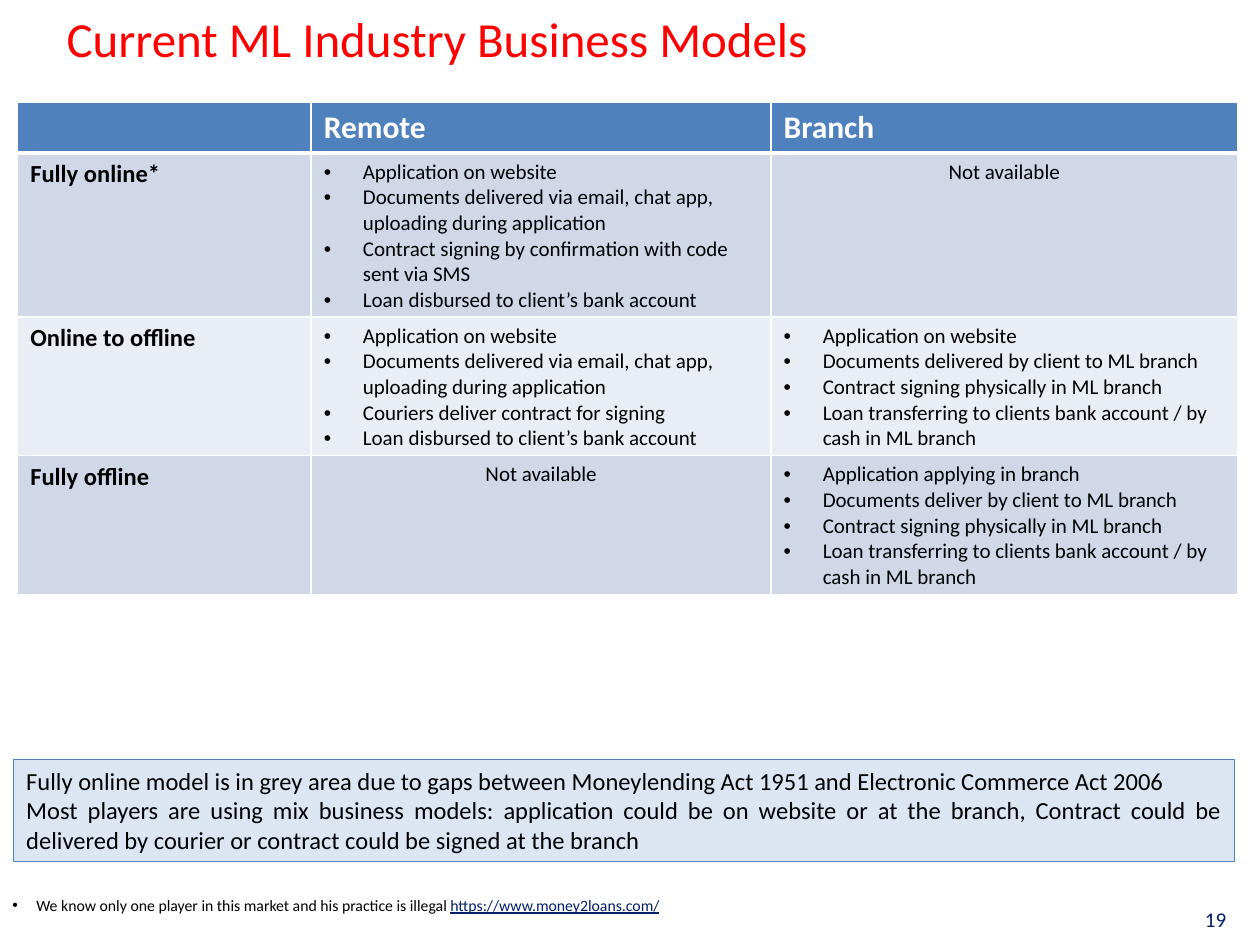
from dataclasses import dataclass

from lxml.etree import SubElement
from pptx import Presentation
from pptx.dml.color import RGBColor
from pptx.enum.shapes import MSO_SHAPE as Shape
from pptx.enum.text import MSO_ANCHOR as Anchor, PP_ALIGN as Align
from pptx.oxml import parse_xml
from pptx.oxml.ns import nsdecls, qn
from pptx.util import Emu, Inches, Pt

FONT = "Calibri"
COLORS = {
    "title": "FF0000", "text": "000000", "navy": "001E69", "white": "FFFFFF",
    "header": "4F81BD", "band_dark": "D0D8E8", "band_light": "E9EDF4", "note": "DCE6F2",
}


@dataclass
class Area:
    """Place on the slide, in percent of its width and height."""
    left: float
    top: float
    width: float
    height: float


@dataclass
class Span:
    text: str
    color: str = "text"
    underline: bool = False


@dataclass
class Style:
    size: float
    bold: bool = False
    align: Align = Align.LEFT
    indent: float = 0  # hanging bullet indent in inches, 0 for no bullet


@dataclass
class Model:
    name: str
    remote: list[str]
    branch: list[str]
    height: float  # percent of the slide's height


HEADING = Style(18, bold=True)
ROW_NAME = Style(14, bold=True)
STEP = Style(12, indent=0.31)
MISSING = Style(12, align=Align.CENTER)

# Steps shared by several models
APPLY = "Application on website"
SEND = "Documents delivered via email, chat app, uploading during application"
DISBURSE = "Loan disbursed to client’s bank account"
SIGN = "Contract signing physically in ML branch"
TRANSFER = "Loan transferring to clients bank account / by cash in ML branch"

MODELS = [
    Model("Fully online*",
          [APPLY, SEND, "Contract signing by confirmation with code sent via SMS", DISBURSE],
          [], 17.35),
    Model("Online to offline",
          [APPLY, SEND, "Couriers deliver contract for signing", DISBURSE],
          [APPLY, "Documents delivered by client to ML branch", SIGN, TRANSFER], 14.67),
    Model("Fully offline", [],
          ["Application applying in branch", "Documents deliver by client to ML branch",
           SIGN, TRANSFER], 14.67),
]
HEADER_HEIGHT = 5.4
COLUMN_WIDTHS = [23.3, 36.5, 37]

deck = Presentation()
deck.slide_width, deck.slide_height = Inches(10), Inches(7.5)
page = deck.slides.add_slide(deck.slide_layouts[6])


def across(percent: float) -> Emu:
    return Emu(round(deck.slide_width * percent / 100))


def down(percent: float) -> Emu:
    return Emu(round(deck.slide_height * percent / 100))


def place(area: Area) -> tuple:
    return across(area.left), down(area.top), across(area.width), down(area.height)


def rgb(name: str) -> RGBColor:
    return RGBColor.from_string(COLORS[name])


def write(frame, lines: list[list[Span]], style: Style) -> None:
    """Fill a text frame, one paragraph for each list of spans."""
    frame.word_wrap = True
    for index, spans in enumerate(lines):
        para = frame.paragraphs[0] if index == 0 else frame.add_paragraph()
        para.alignment = style.align
        if style.indent:
            props = para._p.get_or_add_pPr()
            props.set("marL", str(Inches(style.indent)))
            props.set("indent", str(-Inches(style.indent)))
            SubElement(props, qn("a:buFont"), typeface="Arial")
            SubElement(props, qn("a:buChar"), char="•")
        for span in spans:
            run = para.add_run()
            run.text = span.text
            font = run.font
            font.name, font.size, font.bold = FONT, Pt(style.size), style.bold
            font.color.rgb = rgb(span.color)
            if span.underline:
                font.underline = True


def add_text(area: Area, spans: list[Span], style: Style, anchor=Anchor.MIDDLE) -> None:
    box = page.shapes.add_textbox(*place(area))
    write(box.text_frame, [spans], style)
    box.text_frame.vertical_anchor = anchor


def paint_cell(cell, color: str, bottom: float = 1, top: float = 1) -> None:
    """Fill a cell and give it white borders, widths in points."""
    cell.fill.solid()
    cell.fill.fore_color.rgb = rgb(color)
    props = cell._tc.get_or_add_tcPr()
    widths = {"lnL": 1, "lnR": 1, "lnT": top, "lnB": bottom}
    for index, (edge, width) in enumerate(widths.items()):
        props.insert(index, parse_xml(
            f'<a:{edge} {nsdecls("a")} w="{Pt(width)}"><a:solidFill>'
            f'<a:srgbClr val="{COLORS["white"]}"/></a:solidFill></a:{edge}>'))


def write_steps(cell, steps: list[str]) -> None:
    lines = [[Span(step)] for step in steps or ["Not available"]]
    write(cell.text_frame, lines, STEP if steps else MISSING)


def add_models(left: float, top: float) -> None:
    heights = [HEADER_HEIGHT] + [model.height for model in MODELS]
    area = Area(left, top, sum(COLUMN_WIDTHS), sum(heights))
    table = page.shapes.add_table(len(heights), len(COLUMN_WIDTHS), *place(area)).table
    for column, width in zip(table.columns, COLUMN_WIDTHS):
        column.width = across(width)
    for row, height in zip(table.rows, heights):
        row.height = down(height)

    for cell, heading in zip(table.rows[0].cells, ["", "Remote", "Branch"]):
        paint_cell(cell, "header", bottom=3)
        if heading:
            write(cell.text_frame, [[Span(heading, "white")]], HEADING)

    for index, model in enumerate(MODELS):
        name, remote, branch = cells = list(table.rows[index + 1].cells)
        for cell in cells:
            paint_cell(cell, "band_light" if index % 2 else "band_dark",
                       top=1 if index else 3)
        write(name.text_frame, [[Span(model.name)]], ROW_NAME)
        write_steps(remote, model.remote)
        write_steps(branch, model.branch)


def add_note(area: Area, lines: list[str]) -> None:
    note = page.shapes.add_shape(Shape.RECTANGLE, *place(area))
    note.shadow.inherit = False
    note.fill.solid()
    note.fill.fore_color.rgb = rgb("note")
    note.line.color.rgb = rgb("header")
    note.line.width = Pt(0.75)
    note.text_frame.vertical_anchor = Anchor.TOP
    write(note.text_frame, [[Span(line)] for line in lines], Style(14, align=Align.JUSTIFY))


# Title and table of business models
add_text(Area(4.3, 1.73, 89.2, 4.53), [Span("Current ML Industry Business Models", "title")],
         Style(28))
add_models(left=1.4, top=10.8)

# Conclusion
add_note(Area(1.1, 80.4, 96.9, 10.8), [
    "Fully online model is in grey area due to gaps between Moneylending Act 1951 "
    "and Electronic Commerce Act 2006",
    "Most players are using mix business models: application could be on website or at "
    "the branch, Contract could be delivered by courier or contract could be signed at "
    "the branch",
])

# Footnote and page number
add_text(Area(0, 94.13, 98, 3.33), [
    Span("We know only one player in this market and his practice is illegal "),
    Span("https://www.money2loans.com/", "navy", underline=True),
], Style(9, indent=0.19), Anchor.TOP)
add_text(Area(90.4, 95.2, 7.9, 4.13), [Span("19", "navy")], Style(12, align=Align.RIGHT))

deck.save("out.pptx")
